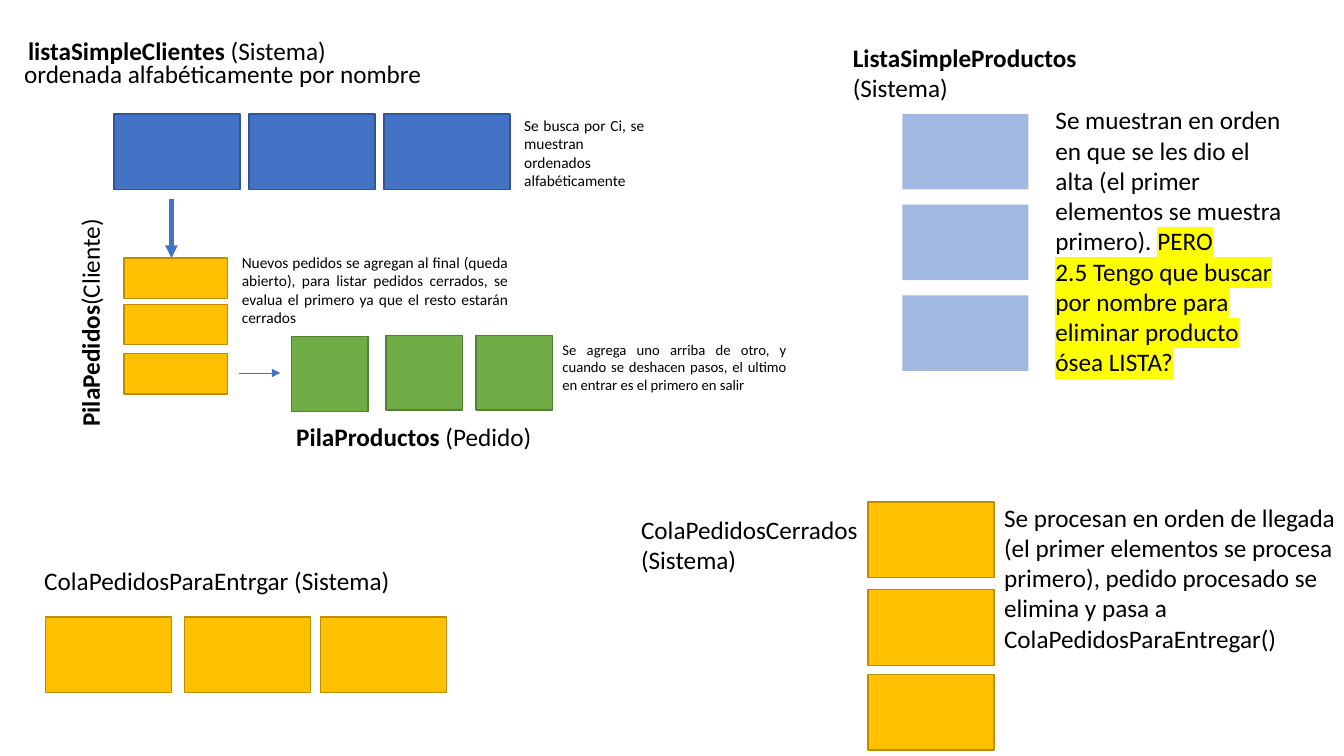
from lxml.etree import SubElement
from pptx import Presentation
from pptx.dml.color import RGBColor
from pptx.enum.shapes import MSO_CONNECTOR, MSO_SHAPE
from pptx.enum.text import MSO_AUTO_SIZE, PP_ALIGN
from pptx.oxml.ns import qn
from pptx.util import Inches, Pt

BLUE, ORANGE, GREEN = "4472C4", "FFC000", "70AD47"
DARK_BLUE, DARK_ORANGE, DARK_GREEN = "325491", "BD8E00", "538035"
BLACK, YELLOW = "000000", "FFFF00"


def paint(color_format, hex_color):
    color_format.rgb = RGBColor.from_string(hex_color)


def add_text(place, paragraphs, size=18, align=PP_ALIGN.LEFT):
    """Each paragraph is a list of (text, style); style is "", "bold" or "highlight"."""
    box = slide.shapes.add_textbox(*map(Inches, place))
    frame = box.text_frame
    frame.word_wrap = True
    frame.auto_size = MSO_AUTO_SIZE.SHAPE_TO_FIT_TEXT
    for index, pieces in enumerate(paragraphs):
        paragraph = frame.add_paragraph() if index else frame.paragraphs[0]
        paragraph.alignment = align
        for text, style in pieces:
            run = paragraph.add_run()
            run.text = text
            run.font.size = Pt(size)
            run.font.bold = style == "bold"
            paint(run.font.fill.solid() or run.font.color, BLACK)
            if style == "highlight":
                highlight = SubElement(run.font._element, qn("a:highlight"))
                SubElement(highlight, qn("a:srgbClr"), val=YELLOW)
            run.font.name = "Calibri"
    return box


prs = Presentation()
prs.slide_width, prs.slide_height = Inches(13.33), Inches(7.5)
slide = prs.slides.add_slide(prs.slide_layouts[6])

# Nodes of each structure: fill, outline, size and top-left corners
structures = {
    "clientes": (BLUE, DARK_BLUE, (1.25, 0.75), [(x, 1.13) for x in (1.13, 2.47, 3.81)]),
    "pedidos": (ORANGE, DARK_ORANGE, (1.03, 0.4), [(1.23, y) for y in (2.56, 3.02, 3.51)]),
    "productos del pedido": (GREEN, DARK_GREEN, (0.76, 0.74),
                             [(2.89, 3.34), (3.83, 3.33), (4.72, 3.33)]),
    "productos": (BLUE, None, (1.25, 0.75), [(8.95, 1.13 + 0.9 * i) for i in range(3)]),
    "cerrados": (ORANGE, DARK_ORANGE, (1.25, 0.75), [(8.61, y) for y in (4.98, 5.85, 6.69)]),
    "para entregar": (ORANGE, DARK_ORANGE, (1.25, 0.75), [(x, 6.12) for x in (0.45, 1.83, 3.18)]),
}
for fill, outline, size, corners in structures.values():
    for corner in corners:
        node = slide.shapes.add_shape(MSO_SHAPE.RECTANGLE, *map(Inches, corner + size))
        node.shadow.inherit = False
        node.fill.solid()
        paint(node.fill.fore_color, fill)
        if outline:
            paint(node.line.color, outline)
            node.line.width = Pt(1)
        else:
            node.line.fill.background()
            fill_color = node.fill._xPr.find(qn("a:solidFill"))[0]
            SubElement(fill_color, qn("a:alpha"), val="50000")

# Arrows from a node to the stack it holds
for ends, width in [((1.7, 1.97, 1.7, 2.56), 3), ((2.37, 3.7, 2.78, 3.7), 0.5)]:
    arrow = slide.shapes.add_connector(MSO_CONNECTOR.STRAIGHT, *map(Inches, ends))
    paint(arrow.line.color, BLUE)
    arrow.line.width = Pt(width)
    SubElement(arrow.line._get_or_add_ln(), qn("a:tailEnd"), type="triangle")
    SubElement(arrow._element.spPr, qn("a:effectLst"))

# Titles
add_text((0.18, 0.3, 3.73, 0.4), [[("listaSimpleClientes", "bold"), (" (Sistema)", "")]])
add_text((0.14, 0.53, 4.28, 0.4), [[("ordenada alfabéticamente por nombre", "")]])
add_text((8.36, 0.37, 2.74, 0.71), [[("ListaSimpleProductos", "bold"), (" (Sistema)", "")]])
add_text((2.84, 4.13, 2.53, 0.4), [[("PilaProductos", "bold"), (" (Pedido)", "")]])
add_text((6.26, 5.05, 2.4, 0.71), [[("ColaPedidosCerrados (Sistema)", "")]])
add_text((0.34, 5.56, 3.85, 0.4), [[("ColaPedidosParaEntrgar (Sistema)", "")]])
pedidos_title = add_text((-0.25, 2.99, 2.28, 0.4), [[("PilaPedidos", "bold"), ("(Cliente)", "")]])
pedidos_title.rotation = 270
pedidos_title.text_frame.word_wrap = False

# Explanations
add_text((10.37, 0.99, 2.5, 2.83), [
    [("Se muestran en orden en que se les dio el alta "
      "(el primer elementos se muestra primero). ", ""), ("PERO", "highlight")],
    [("2.5 Tengo que buscar por nombre para eliminar producto ósea LISTA?", "highlight")],
])
add_text((9.86, 4.93, 3.68, 1.62), [[(
    "Se procesan en orden de llegada (el primer elementos se procesa primero), "
    "pedido procesado se elimina y pasa a ColaPedidosParaEntregar()", "")]])
add_text((5.1, 1.1, 1.39, 0.84), [[(
    "Se busca por Ci, se muestran ordenados alfabéticamente", "")]], 11, PP_ALIGN.JUSTIFY)
add_text((2.3, 2.46, 2.84, 0.84), [[(
    "Nuevos pedidos se agregan al final (queda abierto), para listar pedidos cerrados, "
    "se evalua el primero ya que el resto estarán cerrados", "")]], 11, PP_ALIGN.JUSTIFY)
add_text((5.48, 3.33, 2.42, 0.63), [[(
    "Se agrega uno arriba de otro, y cuando se deshacen pasos, "
    "el ultimo en entrar es el primero en salir", "")]], 10.5, PP_ALIGN.JUSTIFY)

prs.save("out.pptx")
